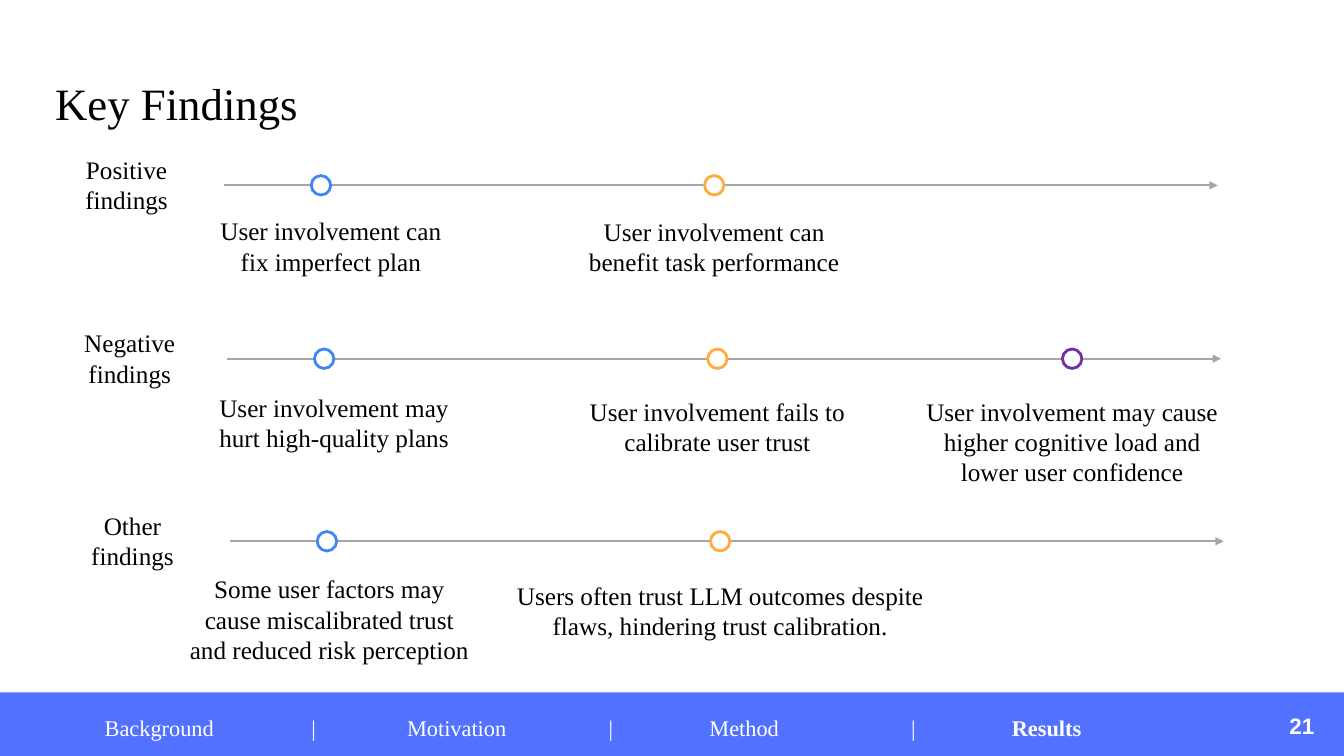
"""Key Findings slide: three timelines of findings above a navigation bar."""
from lxml import etree
from pptx import Presentation
from pptx import util as u
from pptx.dml.color import RGBColor
from pptx.enum import shapes, text
from pptx.oxml.ns import qn

BLACK = RGBColor(0x00, 0x00, 0x00)
WHITE = RGBColor(0xFF, 0xFF, 0xFF)
GREY = RGBColor(0xA6, 0xA6, 0xA6)
INDIGO = RGBColor(0x52, 0x71, 0xFF)
BLUE = RGBColor(0x42, 0x85, 0xF4)
ORANGE = RGBColor(0xFF, 0xAB, 0x40)
PURPLE = RGBColor(0x70, 0x30, 0xA0)
SERIF = "Times New Roman"
CENTER = text.PP_ALIGN.CENTER

deck = Presentation()
deck.slide_width, deck.slide_height = u.Cm(33.87), u.Cm(19.05)
slide = deck.slides.add_slide(deck.slide_layouts[6])


def add_text(left, top, width, height, lines, size, color, align=None, font=SERIF):
    frame = slide.shapes.add_textbox(u.Cm(left), u.Cm(top), u.Cm(width), u.Cm(height)).text_frame
    frame.word_wrap = True
    frame.text = lines
    for paragraph in frame.paragraphs:
        paragraph.alignment = align
        paragraph.font.size = u.Pt(size)
        paragraph.font.name = font
        paragraph.font.color.rgb = color
    return frame


def add_filled(kind, left, top, width, height, fill):
    shape = slide.shapes.add_shape(kind, u.Cm(left), u.Cm(top), u.Cm(width), u.Cm(height))
    shape.shadow.inherit = False
    shape.fill.solid()
    shape.fill.fore_color.rgb = fill
    return shape


footer = add_filled(shapes.MSO_SHAPE.RECTANGLE, 0, 17.45, 33.87, 1.6, INDIGO)
footer.line.fill.background()

title = add_text(1.14, 1.65, 31.55, 2.13, "Key Findings", 32, BLACK)
title.margin_top = u.Cm(0.25)

page_number = add_text(31.34, 17.53, 2.03, 1.52, "21", 16, WHITE, text.PP_ALIGN.RIGHT, "Arial")
page_number.vertical_anchor = text.MSO_ANCHOR.MIDDLE
page_number.paragraphs[0].font.bold = True

ARROW_LENGTH = 25.05
NODE_SIZE = 0.49
NODES = [(2.45, BLUE), (12.36, ORANGE), (21.3, PURPLE)]

# each finding: wording, shift from its node, drop below the arrow, width, height
timelines = [
    ("Positive\nfindings", 5.64, 4.67, [
        ("User involvement can fix imperfect plan", 0.25, 0.64, 6.25, 1.8),
        ("User involvement can benefit task performance", 0, 0.66, 7.95, 1.8),
    ]),
    ("Negative\nfindings", 5.72, 9.04, [
        ("User involvement may hurt high-quality plans", 0.25, 0.71, 7.06, 1.8),
        ("User involvement fails to calibrate user trust", 0, 0.81, 9.14, 1.8),
        ("User involvement may cause higher cognitive load and lower user confidence",
         0, 0.81, 8.51, 2.57),
    ]),
    ("Other\nfindings", 5.79, 13.64, [
        ("Some user factors may cause miscalibrated trust and reduced risk perception",
         0.06, 0.69, 7.82, 2.57),
        ("Users often trust LLM outcomes despite flaws, hindering trust calibration.",
         0, 0.86, 11.2, 1.8),
    ]),
]

for heading, start, axis, findings in timelines:
    arrow = slide.shapes.add_connector(
        shapes.MSO_CONNECTOR.STRAIGHT,
        u.Cm(start), u.Cm(axis), u.Cm(start + ARROW_LENGTH), u.Cm(axis))
    arrow.line.color.rgb = GREY
    arrow.line.width = u.Pt(1.5)
    etree.SubElement(arrow.line._get_or_add_ln(), qn("a:tailEnd"), type="triangle")
    etree.SubElement(arrow._element.spPr, qn("a:effectLst"))

    add_text(start - 4.2, axis - 0.91, 3.5, 1.8, heading, 18, BLACK, CENTER)

    for (offset, color), (wording, shift, drop, width, height) in zip(NODES, findings):
        center = start + offset
        node = add_filled(shapes.MSO_SHAPE.OVAL, center - NODE_SIZE / 2, axis - NODE_SIZE / 2,
                          NODE_SIZE, NODE_SIZE, WHITE)
        node.line.color.rgb = color
        node.line.width = u.Pt(2)
        add_text(center + shift - width / 2, axis + drop, width, height,
                 wording, 18, BLACK, CENTER)

navigation = add_text(2.39, 17.88, 28.22, 0.94, "", 16, WHITE).paragraphs[0]
tab_list = etree.Element(qn("a:tabLst"))
for stop in (5.21, 7.62, 12.7, 15.24, 20.32, 22.86):
    etree.SubElement(tab_list, qn("a:tab"), pos=str(u.Cm(stop)), algn="l")
navigation._p.get_or_add_pPr().insert(0, tab_list)
navigation.add_run().text = "Background\t|\tMotivation\t|\tMethod\t|\t"
current_section = navigation.add_run()
current_section.text = "Results"
current_section.font.bold = True

deck.save("out.pptx")
